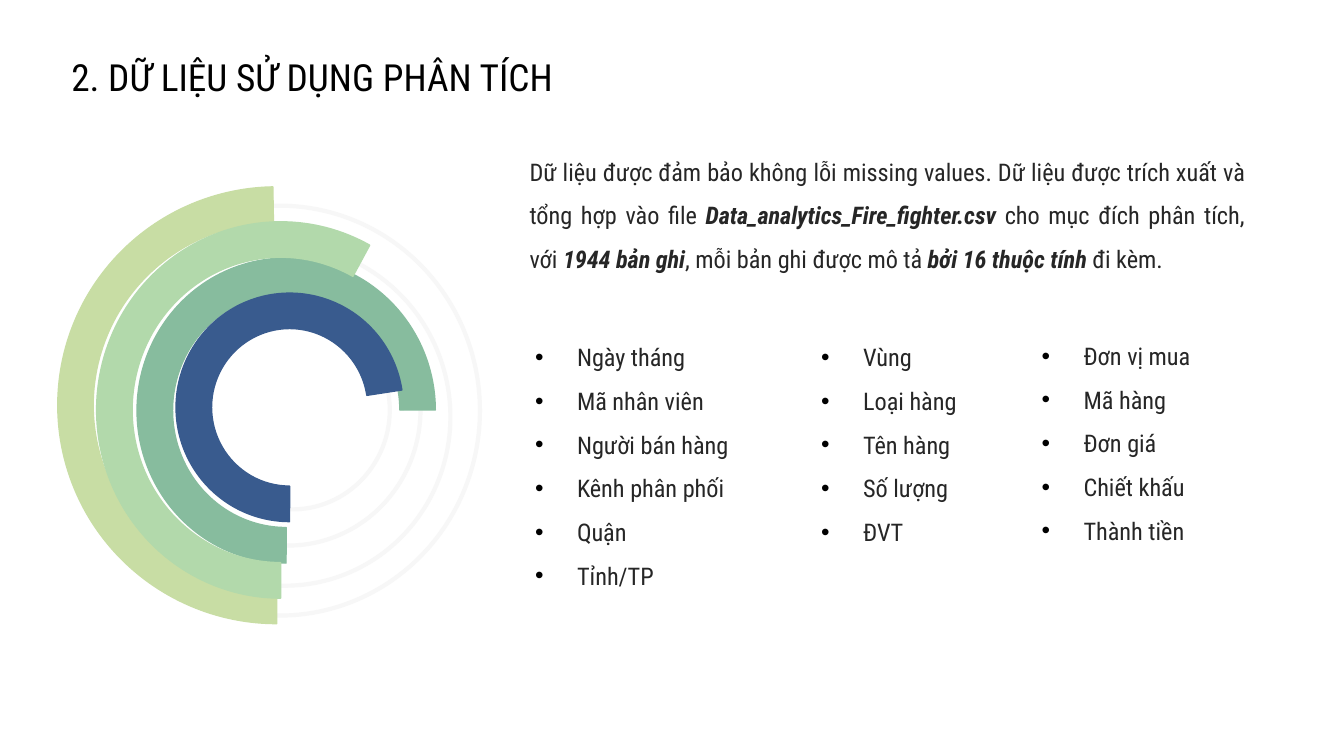
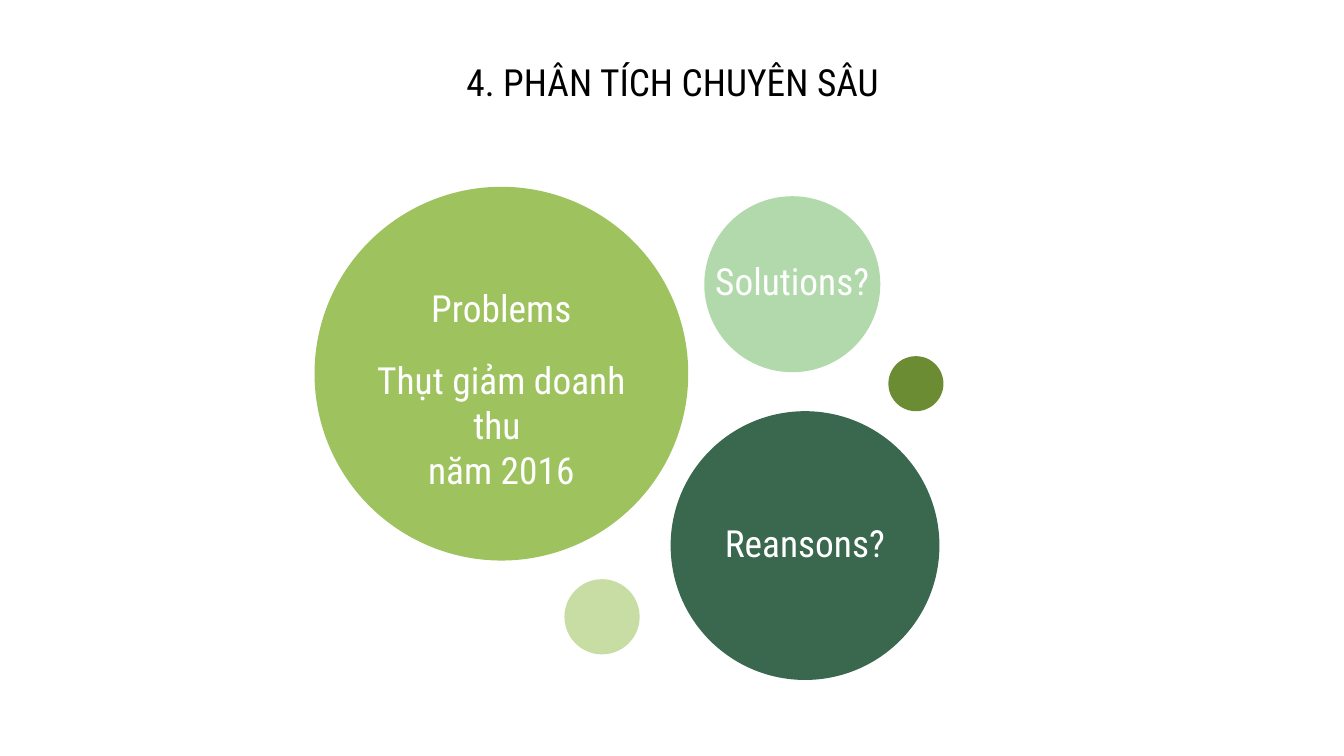
from typing import NamedTuple

from lxml.etree import SubElement
from pptx import Presentation
from pptx.dml.color import RGBColor
from pptx.enum.shapes import MSO_SHAPE
from pptx.enum.text import MSO_ANCHOR, MSO_AUTO_SIZE, PP_ALIGN
from pptx.oxml.ns import qn
from pptx.util import Pt

FONT = "Roboto Condensed"
BLACK, WHITE, INK = "000000", "FFFFFF", "262626"
TRACK, LIME, MINT, SAGE, NAVY = "F7F7F7", "C8DDA4", "B2D9AB", "87BC9E", "395B8E"
FOREST, GRASS, OLIVE = "3A684E", "9EC35E", "6C8C34"
INSET = 7.2
BULLET_INDENT = 22.5
RING_THICKNESS = 19
ARC_END = 269.95
DEGREE = 0.6


class Box(NamedTuple):
    left: float
    top: float
    width: float
    height: float

    def points(self) -> tuple:
        return tuple(Pt(value) for value in self)


class Track(NamedTuple):
    box: Box
    rotation: float = 0
    fill: str | None = None


class Arc(NamedTuple):
    box: Box
    start: float
    color: str


class Phrase(NamedTuple):
    text: str
    strong: bool = False


class Column(NamedTuple):
    left: float
    top: float
    fields: list[str]


class Label(NamedTuple):
    text: str
    top: float
    width: float = 103.7
    height: float = 28.8


class Bubble(NamedTuple):
    left: float
    top: float
    diameter: float
    color: str
    labels: tuple[Label, ...] = ()


TRACKS = [
    Track(Box(42.5, 110.2, 214.6, 219.6), fill=WHITE),
    Track(Box(62.6, 131, 178.6, 182.9), rotation=348),
    Track(Box(83.5, 146.9, 141.8, 145.4)),
    Track(Box(104.4, 166.3, 104.4, 106.6)),
]
ARCS = [
    Arc(Box(31, 100.1, 234.7, 234), 91.05, LIME),
    Arc(Box(73.4, 138.2, 159.8, 163.4), 0.24, SAGE),
    Arc(Box(94.3, 157, 121.7, 122.4), 8.81, NAVY),
    Arc(Box(51.8, 118.8, 197.3, 201.6), 61.64, MINT),
]
SUMMARY = [
    Phrase("Dữ liệu được đảm bảo không lỗi missing values. "
           "Dữ liệu được trích xuất và tổng hợp vào file "),
    Phrase("Data_analytics_Fire_fighter.csv ", True),
    Phrase("cho mục đích phân tích, với "),
    Phrase("1944 bản ghi", True),
    Phrase(", mỗi bản ghi được mô tả "),
    Phrase("bởi 16 thuộc tính ", True),
    Phrase("đi kèm."),
]
COLUMNS = [
    Column(279.4, 168.5, ["Ngày tháng", "Mã nhân viên", "Người bán hàng",
                          "Kênh phân phối", "Quận", "Tỉnh/TP"]),
    Column(432.7, 168.5, ["Vùng", "Loại hàng", "Tên hàng", "Số lượng", "ĐVT"]),
    Column(550.8, 167.8, ["Đơn vị mua", "Mã hàng", "Đơn giá", "Chiết khấu", "Thành tiền"]),
]
BUBBLES = [
    Bubble(302.4, 310.3, 40.3, LIME),
    Bubble(359.3, 220.3, 144, FOREST, (Label("Reansons?", 271.4),)),
    Bubble(168.5, 100.1, 200.2, GRASS, (
        Label("Problems", 145.4),
        Label("Thụt giảm doanh thu \nnăm 2016", 184.3, 173.5, 79.9),
    )),
    Bubble(377.3, 105.1, 94.3, MINT, (Label("Solutions?", 131),)),
    Bubble(475.9, 190.8, 29.5, OLIVE),
]


def rgb(color: str) -> RGBColor:
    return RGBColor.from_string(color)


def place(shape, box: Box) -> None:
    shape.left, shape.top, shape.width, shape.height = box.points()


def prepare_frame(frame) -> None:
    frame.word_wrap = True
    frame.auto_size = MSO_AUTO_SIZE.NONE
    frame.vertical_anchor = MSO_ANCHOR.TOP
    frame.margin_left = frame.margin_right = Pt(INSET)
    frame.margin_top = frame.margin_bottom = Pt(INSET)


def style_run(run, size: float, color: str, strong: bool = False) -> None:
    run.font.name = FONT
    run.font.size = Pt(size)
    run.font.color.rgb = rgb(color)
    run.font.bold = run.font.italic = strong


def style_frame(frame, size: float, color: str, align: PP_ALIGN) -> None:
    prepare_frame(frame)
    for paragraph in frame.paragraphs:
        paragraph.alignment = align
        for run in paragraph.runs:
            style_run(run, size, color)


def set_spacing(paragraph) -> None:
    paragraph.line_spacing = 1.5
    paragraph.space_before = Pt(0)


def set_bullet(paragraph, indent: float, symbol: str = "") -> None:
    properties = paragraph._p.get_or_add_pPr()
    properties.set("marL", str(Pt(indent)))
    properties.set("indent", str(-Pt(indent)))
    if not symbol:
        SubElement(properties, qn("a:buNone"))
        return
    bullet_color = SubElement(properties, qn("a:buClr"))
    SubElement(bullet_color, qn("a:srgbClr"), val=BLACK)
    SubElement(properties, qn("a:buFont"), typeface="Arial")
    SubElement(properties, qn("a:buChar"), char=symbol)


def set_title(slide, text: str, box: Box, align: PP_ALIGN) -> None:
    title = slide.shapes.title
    place(title, box)
    title.text_frame.text = text
    style_frame(title.text_frame, 20, BLACK, align)


def add_figure(shapes, kind: MSO_SHAPE, box: Box, fill: str | None,
               line: str | None = None, weight: float = 0.75):
    figure = shapes.add_shape(kind, *box.points())
    figure.shadow.inherit = False
    if fill:
        figure.fill.solid()
        figure.fill.fore_color.rgb = rgb(fill)
    else:
        figure.fill.background()
    if line:
        figure.line.color.rgb = rgb(line)
        figure.line.width = Pt(weight)
    else:
        figure.line.fill.background()
    return figure


def draw_track(slide, track: Track) -> None:
    ring = add_figure(slide.shapes, MSO_SHAPE.OVAL, track.box, track.fill, TRACK, 2.25)
    ring.rotation = track.rotation


def draw_arc(slide, arc: Arc) -> None:
    band = add_figure(slide.shapes, MSO_SHAPE.BLOCK_ARC, arc.box, arc.color, arc.color)
    band.adjustments[0] = arc.start * DEGREE
    band.adjustments[1] = ARC_END * DEGREE
    band.adjustments[2] = RING_THICKNESS / min(arc.box.width, arc.box.height)
    band.rotation = 180
    band._element.spPr.xfrm.set("flipH", "1")


def fill_summary(placeholder) -> None:
    place(placeholder, Box(276.5, 69.1, 397.4, 139))
    prepare_frame(placeholder.text_frame)
    paragraph = placeholder.text_frame.paragraphs[0]
    paragraph.alignment = PP_ALIGN.JUSTIFY
    set_spacing(paragraph)
    set_bullet(paragraph, 0)
    for phrase in SUMMARY:
        run = paragraph.add_run()
        run.text = phrase.text
        style_run(run, 13, INK, phrase.strong)


def fill_column(placeholder, column: Column) -> None:
    place(placeholder, Box(column.left, column.top, 161.3, 167.8))
    placeholder.text_frame.text = "\n".join(column.fields)
    style_frame(placeholder.text_frame, 13, INK, PP_ALIGN.LEFT)
    for paragraph in placeholder.text_frame.paragraphs:
        set_spacing(paragraph)
        set_bullet(paragraph, BULLET_INDENT, "•")


def draw_bubble(slide, bubble: Bubble) -> None:
    shapes = slide.shapes.add_group_shape().shapes if bubble.labels else slide.shapes
    circle = Box(bubble.left, bubble.top, bubble.diameter, bubble.diameter)
    add_figure(shapes, MSO_SHAPE.OVAL, circle, bubble.color)
    center = bubble.left + bubble.diameter / 2
    for label in bubble.labels:
        box = Box(center - label.width / 2, label.top, label.width, label.height)
        caption = shapes.add_textbox(*box.points())
        caption.text_frame.text = label.text
        style_frame(caption.text_frame, 20, WHITE, PP_ALIGN.CENTER)


def build_data_slide(deck) -> None:
    slide = deck.slides.add_slide(deck.slide_layouts.get_by_name("Comparison"))
    set_title(slide, "2. DỮ LIỆU SỬ DỤNG PHÂN TÍCH", Box(31, 21.6, 658, 45.4), PP_ALIGN.LEFT)
    for track in TRACKS:
        draw_track(slide, track)
    for arc in ARCS:
        draw_arc(slide, arc)
    _, summary, *lists = slide.placeholders
    fill_summary(summary)
    for placeholder, column in zip(lists, COLUMNS):
        fill_column(placeholder, column)


def build_analysis_slide(deck) -> None:
    slide = deck.slides.add_slide(deck.slide_layouts.get_by_name("Title Only"))
    set_title(slide, "4. PHÂN TÍCH CHUYÊN SÂU", Box(14.4, 24.5, 692, 45.4), PP_ALIGN.CENTER)
    for bubble in BUBBLES:
        draw_bubble(slide, bubble)


def main() -> None:
    deck = Presentation()
    deck.slide_width, deck.slide_height = Pt(720), Pt(405)
    build_data_slide(deck)
    build_analysis_slide(deck)
    deck.save("out.pptx")


if __name__ == "__main__":
    main()
